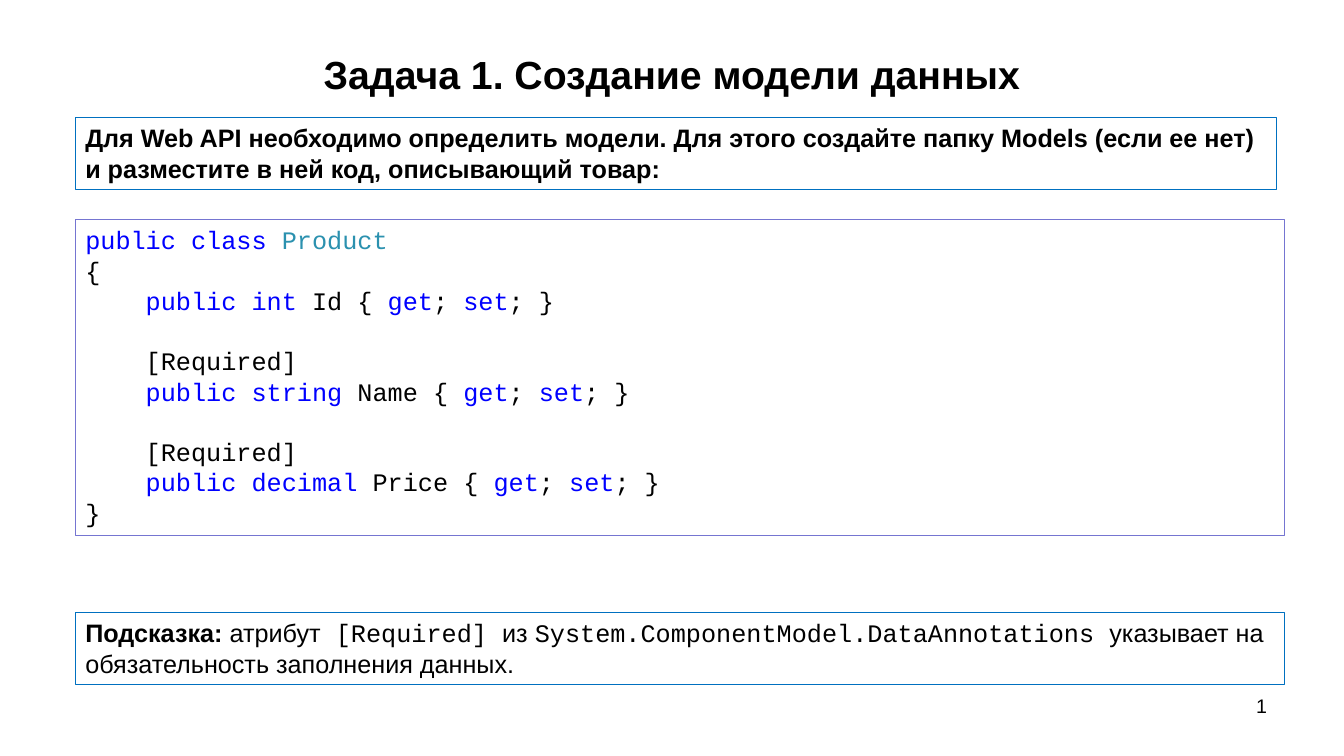
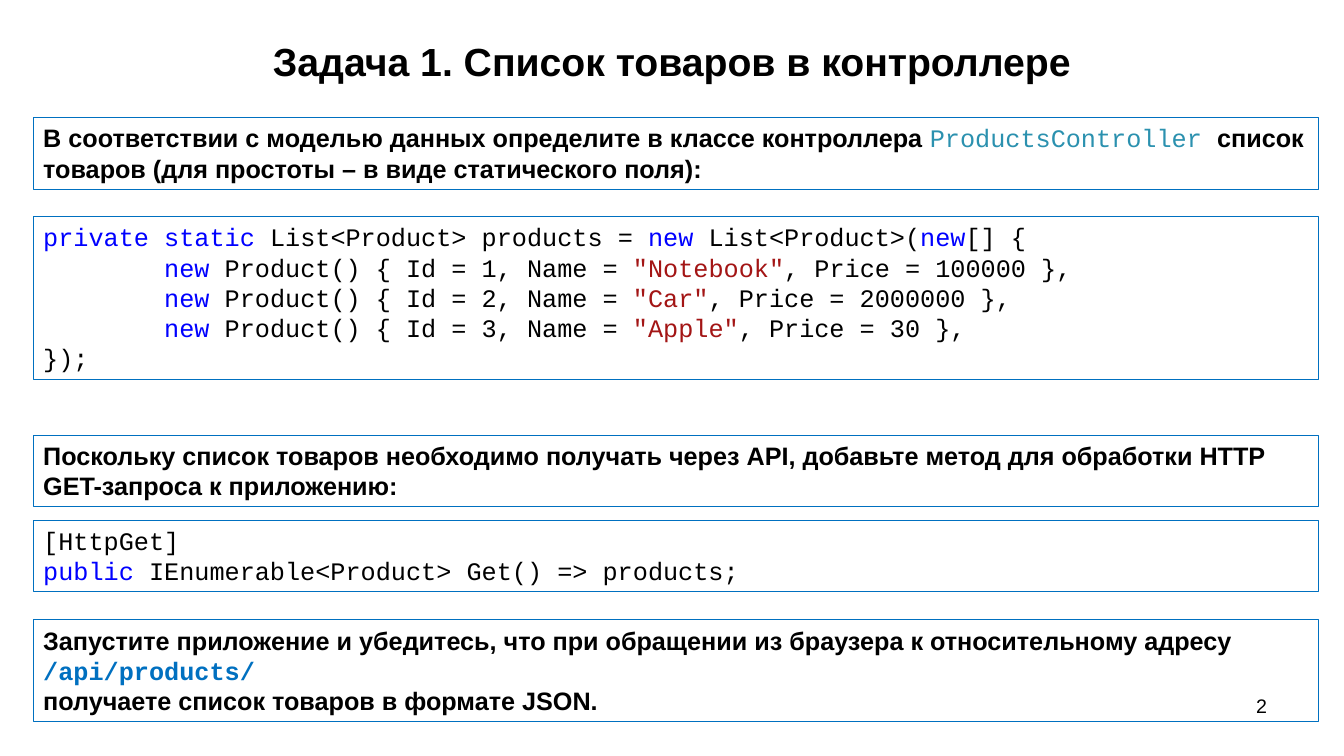
import dataclasses

import lxml.etree
import pptx
import pptx.dml.color
import pptx.enum.shapes
import pptx.enum.text
import pptx.oxml.ns
import pptx.util

Cm = pptx.util.Cm
Pt = pptx.util.Pt
RGB = pptx.dml.color.RGBColor


@dataclasses.dataclass(frozen=True)
class Theme:
    black: RGB = RGB(0x00, 0x00, 0x00)
    keyword: RGB = RGB(0x00, 0x00, 0xFF)
    type_name: RGB = RGB(0x2B, 0x91, 0xAF)
    string: RGB = RGB(0xA3, 0x15, 0x15)
    frame: RGB = RGB(0x00, 0x70, 0xC0)
    code_frame: RGB = RGB(0x75, 0x75, 0xD1)
    sans: str = "Arial"
    mono: str = "Courier New"
    title_size: Pt = Pt(28)
    body_size: Pt = Pt(18)
    number_size: Pt = Pt(14)
    line_height: Pt = Pt(21.6)
    frame_width: Pt = Pt(0.75)


theme = Theme()

STYLES = {
    "bold": (theme.sans, theme.black, True),
    "text": (theme.sans, theme.black, False),
    "code": (theme.mono, theme.black, False),
    "keyword": (theme.mono, theme.keyword, False),
    "type": (theme.mono, theme.type_name, False),
    "string": (theme.mono, theme.string, False),
    "address": (theme.mono, theme.frame, True),
}


def start_slide(deck, heading, title_height, number):
    slide = deck.slides.add_slide(deck.slide_layouts[5])
    title = slide.shapes.title
    title.left, title.top = Cm(5.5), Cm(0.76)
    title.width, title.height = Cm(22.86), title_height
    frame = title.text_frame
    frame.text = heading
    frame.auto_size = pptx.enum.text.MSO_AUTO_SIZE.NONE
    frame.vertical_anchor = pptx.enum.text.MSO_ANCHOR.MIDDLE
    paragraph = frame.paragraphs[0]
    paragraph.alignment = pptx.enum.text.PP_ALIGN.CENTER
    font = paragraph.runs[0].font
    font.name, font.size, font.bold = theme.sans, theme.title_size, True
    font.color.rgb = theme.black

    number_box = slide.shapes.add_textbox(Cm(24.28), Cm(17.35), Cm(7.9), Cm(1.32))
    number_box.text_frame.word_wrap = True
    paragraph = number_box.text_frame.paragraphs[0]
    paragraph.alignment = pptx.enum.text.PP_ALIGN.RIGHT
    run = paragraph.add_run()
    run.text = str(number)
    run.font.name, run.font.size = theme.sans, theme.number_size
    run.font.color.rgb = theme.black
    field = run._r
    field.tag = pptx.oxml.ns.qn("a:fld")
    field.set("id", "{B6F15528-21DE-4FAA-801E-634DDDAF4B2B}")
    field.set("type", "slidenum")
    return slide


def add_panel(slide, left, top, width, height, lines, line_color=theme.frame, gaps=()):
    panel = slide.shapes.add_shape(
        pptx.enum.shapes.MSO_SHAPE.RECTANGLE, left, top, width, height)
    panel.shadow.inherit = False
    panel.fill.background()
    panel.line.color.rgb = line_color
    panel.line.width = theme.frame_width
    frame = panel.text_frame
    frame.word_wrap = True
    frame.vertical_anchor = pptx.enum.text.MSO_ANCHOR.TOP
    for index, line in enumerate(lines):
        paragraph = frame.add_paragraph() if index else frame.paragraphs[0]
        paragraph.alignment = pptx.enum.text.PP_ALIGN.LEFT
        paragraph.line_spacing = theme.line_height
        if index in gaps:
            paragraph.space_before = theme.line_height
        for text, style in line:
            run = paragraph.add_run()
            run.text = text
            run.font.size = theme.body_size
            run.font.name, run.font.color.rgb, run.font.bold = STYLES[style]


deck = pptx.Presentation()
deck.slide_width, deck.slide_height = Cm(33.87), Cm(19.05)
two_lines = Cm(1.8)
intro_top = Cm(2.97)

model_slide = start_slide(deck, "Задача 1. Создание модели данных", Cm(2.2), 5)
model_left, model_width = Cm(1.9), Cm(30.48)

add_panel(model_slide, model_left, intro_top, Cm(30.28), two_lines, [[
    ("Для Web API необходимо определить модели. Для этого создайте папку Models "
     "(если ее нет) и разместите в ней код, описывающий товар:", "bold")]])

class_code = [[("public class ", "keyword"), ("Product", "type")], [("{", "code")]]
for kind, field_name, required in [
        ("int", "Id", False), ("string", "Name", True), ("decimal", "Price", True)]:
    if required:
        class_code.append([("    [Required]", "code")])
    class_code.append([
        (f"    public {kind}", "keyword"), (f" {field_name} {{ ", "code"),
        ("get", "keyword"), ("; ", "code"), ("set", "keyword"), ("; }", "code")])
class_code.append([("}", "code")])
add_panel(model_slide, model_left, Cm(5.54), model_width, Cm(7.95), class_code,
          theme.code_frame, gaps=(3, 5))

add_panel(model_slide, model_left, Cm(15.44), model_width, two_lines, [[
    ("Подсказка: ", "bold"), ("атрибут", "text"), (" [Required] ", "code"),
    ("из ", "text"), ("System.ComponentModel.DataAnnotations ", "code"),
    ("указывает на обязательность заполнения данных.", "text")]])

list_slide = start_slide(deck, "Задача 1. Список товаров в контроллере", Cm(1.57), 6)

list_code = [[
    ("private static", "keyword"), (" List<Product> products = ", "code"),
    ("new", "keyword"), (" List<Product>(", "code"), ("new", "keyword"), ("[] {", "code")]]
for product_id, (product, price) in enumerate(
        [("Notebook", 100000), ("Car", 2000000), ("Apple", 30)], start=1):
    list_code.append([
        ("        new", "keyword"), (f" Product() {{ Id = {product_id}, Name = ", "code"),
        (f'"{product}"', "string"), (f", Price = {price} }},", "code")])
list_code.append([("});", "code")])

list_panels = [
    (intro_top, two_lines, [[
        ("В соответствии с моделью данных определите в классе контроллера ", "bold"),
        ("ProductsController ", "type"),
        ("список товаров (для простоты – в виде статического поля):", "bold")]]),
    (Cm(5.46), Cm(4.11), list_code),
    (Cm(10.97), two_lines, [[
        ("Поскольку список товаров необходимо получать через API, добавьте метод "
         "для обработки HTTP GET-запроса к приложению:", "bold")]]),
    (Cm(13.11), two_lines, [
        [("[HttpGet]", "code")],
        [("public ", "keyword"), ("IEnumerable<Product> Get() => products;", "code")]]),
    (Cm(15.62), Cm(2.57), [
        [("Запустите приложение и убедитесь, что при обращении из браузера "
          "к относительному адресу ", "bold"), ("/api/products/", "address")],
        [("получаете список товаров в формате JSON.", "bold")]]),
]
for top, height, lines in list_panels:
    add_panel(list_slide, Cm(0.84), top, Cm(32.39), height, lines)

deck.save("out.pptx")
